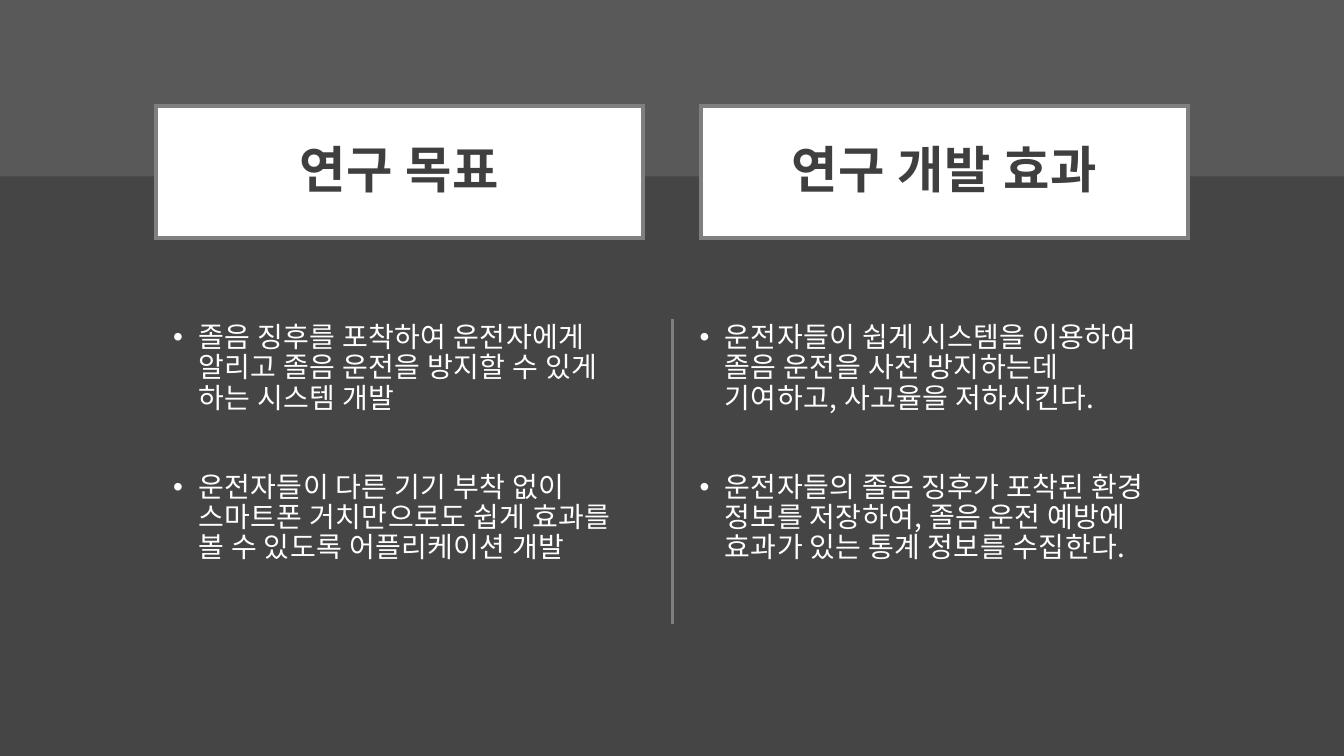
from lxml import etree
from pptx import Presentation
from pptx.dml.color import RGBColor
from pptx.enum import shapes, text
from pptx.oxml.ns import qn
from pptx.util import Inches, Pt

FONT = "Noto Sans CJK KR"
COLORS = {
    "background": "454545",
    "band": "595959",
    "card": "FFFFFF",
    "rule": "7F7F7F",
    "heading": "3F3F3F",
    "body": "FFFFFF",
}
HEADING = {"size": Pt(36), "bold": True, "name": FONT}
BODY = {"size": Pt(20), "name": FONT}
LINE_SPACING = 0.9

# Each column: card left, list left, heading, bullet points
COLUMNS = [
    (1.55, 1.62, "연구 목표", [
        "졸음 징후를 포착하여 운전자에게 알리고 졸음 운전을 방지할 수 있게 하는 시스템 개발",
        "운전자들이 다른 기기 부착 없이 스마트폰 거치만으로도 쉽게 효과를 볼 수 있도록 어플리케이션 개발",
    ]),
    (6.95, 6.84, "연구 개발 효과", [
        "운전자들이 쉽게 시스템을 이용하여 졸음 운전을 사전 방지하는데 기여하고, 사고율을 저하시킨다.",
        "운전자들의 졸음 징후가 포착된 환경 정보를 저장하여, 졸음 운전 예방에 효과가 있는 통계 정보를 수집한다.",
    ]),
]


def color(name):
    return RGBColor.from_string(COLORS[name])


def add_span(para, words, style, color_name):
    span = para.add_run()
    span.text = words
    for key, value in style.items():
        setattr(span.font, key, value)
    span.font.color.rgb = color(color_name)
    # Slightly open tracking, in hundredths of a point
    properties = span.font._element
    properties.set("spc", str(round(style["size"].pt * 1.25)))
    # Hangul takes the East Asian typeface
    etree.SubElement(properties, qn("a:ea")).set("typeface", FONT)


def add_rectangle(page, left, top, width, height, fill, line=None):
    box = page.shapes.add_shape(
        shapes.MSO_SHAPE.RECTANGLE,
        Inches(left), Inches(top), Inches(width), Inches(height))
    box.shadow.inherit = False
    box.fill.solid()
    box.fill.fore_color.rgb = color(fill)
    if line:
        box.line.color.rgb = color(line)
        box.line.width = Pt(3)
        # Square corners
        etree.SubElement(box.line._get_or_add_ln(), qn("a:miter")).set("lim", "800000")
    else:
        box.line.fill.background()
    return box


def add_heading_card(page, left, words):
    card = add_rectangle(page, left, 1.05, 4.83, 1.31, "card", "rule")
    frame = card.text_frame
    frame.word_wrap = True
    frame.vertical_anchor = text.MSO_ANCHOR.MIDDLE
    para = frame.paragraphs[0]
    para.alignment = text.PP_ALIGN.CENTER
    para.line_spacing = LINE_SPACING
    add_span(para, words, HEADING, "heading")


def add_bullet_list(page, left, points):
    box = page.shapes.add_textbox(
        Inches(left), Inches(3.16), Inches(4.7), Inches(3.24))
    frame = box.text_frame
    frame.word_wrap = True
    for index, point in enumerate(points):
        para = frame.add_paragraph() if index else frame.paragraphs[0]
        para.line_spacing = LINE_SPACING
        para.space_before = Pt(42 if index else 0)
        properties = para._p.get_or_add_pPr()
        properties.set("marL", str(Inches(0.25)))
        properties.set("indent", str(Inches(-0.25)))
        etree.SubElement(properties, qn("a:buFont")).set("typeface", "Arial")
        etree.SubElement(properties, qn("a:buChar")).set("char", "•")
        add_span(para, point, BODY, "body")


def add_divider(page, x, top, bottom):
    divider = page.shapes.add_connector(
        shapes.MSO_CONNECTOR.STRAIGHT,
        Inches(x), Inches(top), Inches(x), Inches(bottom))
    divider.line.color.rgb = color("rule")
    divider.line.width = Pt(1.5)
    etree.SubElement(divider._element.spPr, qn("a:effectLst"))


def main():
    deck = Presentation()
    deck.slide_width, deck.slide_height = Inches(13.33), Inches(7.5)
    page = deck.slides.add_slide(deck.slide_layouts[6])

    # Background and top band
    page.background.fill.solid()
    page.background.fill.fore_color.rgb = color("background")
    add_rectangle(page, 0, 0, 13.33, 1.75, "band")

    # Two columns with a divider between them
    for card_left, list_left, heading, points in COLUMNS:
        add_heading_card(page, card_left, heading)
        add_bullet_list(page, list_left, points)
    add_divider(page, 6.67, 3.16, 6.19)

    deck.save("out.pptx")


if __name__ == "__main__":
    main()
